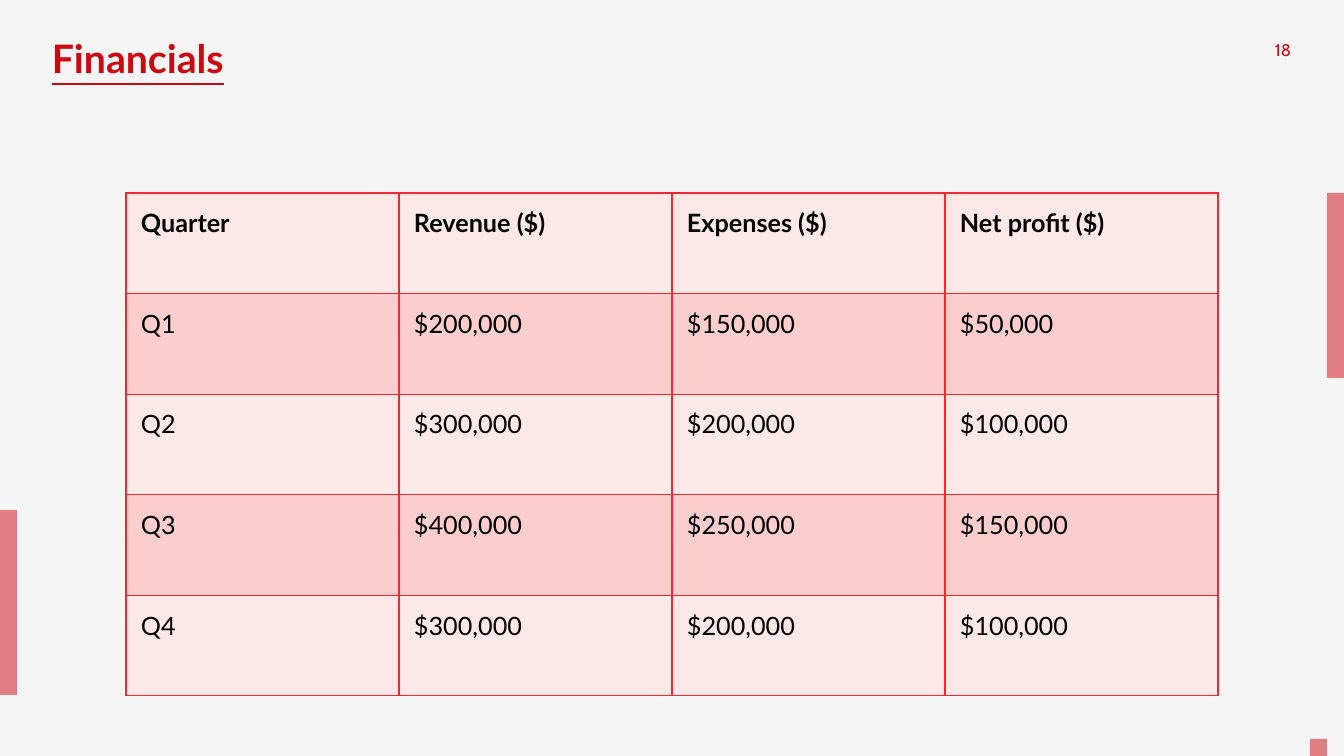
"""Build the quarterly financials slide."""
from lxml import etree
from pptx import Presentation
from pptx import util as u
from pptx.dml.color import RGBColor
from pptx.enum import shapes, text
from pptx.oxml.ns import qn

PX = 12192000 / 1344
COLORS = {"page": "F5F5F5", "accent": "CC0912", "border": "F52730",
          "light": "FDE8E8", "dark": "FBCDCD", "ink": "000000"}
TITLE = {"name": "Lato", "size": u.Pt(28), "bold": True, "underline": True}
NUMBER = {"name": "Cabin", "size": u.Pt(12)}
CELL = {"name": "Lato", "size": u.Pt(18)}
ROWS = [
    ("Quarter", "Revenue ($)", "Expenses ($)", "Net profit ($)"),
    ("Q1", "$200,000", "$150,000", "$50,000"),
    ("Q2", "$300,000", "$200,000", "$100,000"),
    ("Q3", "$400,000", "$250,000", "$150,000"),
    ("Q4", "$300,000", "$200,000", "$100,000"),
]


def px(*lengths):
    return [u.Emu(round(length * PX)) for length in lengths]


def write(para, words, style, color):
    span = para.add_run()
    span.text = words
    for key, value in style.items():
        setattr(span.font, key, value)
    span.font.color.rgb = RGBColor.from_string(COLORS[color])


deck = Presentation()
deck.slide_width, deck.slide_height = px(1344, 756)
page = deck.slides.add_slide(deck.slide_layouts[6])
page.background.fill.solid()
page.background.fill.fore_color.rgb = RGBColor.from_string(COLORS["page"])

for place in [(1327, 193, 17, 185), (0, 510, 17, 185), (1310, 739, 17, 17)]:
    bar = page.shapes.add_shape(shapes.MSO_SHAPE.RECTANGLE, *px(*place))
    bar.shadow.inherit = False
    bar.line.fill.background()
    bar.fill.solid()
    bar.fill.fore_color.rgb = RGBColor.from_string(COLORS["accent"])
    tint = bar.fill._xPr.find(".//" + qn("a:srgbClr"))
    etree.SubElement(tint, qn("a:alpha"), val="50000")

labels = [
    ("Financials", (42, 35, 552, 123), TITLE, {"line_spacing": 0.9}),
    ("18", (1250, 35, 51, 40), NUMBER, {"alignment": text.PP_ALIGN.RIGHT}),
]
for words, place, style, layout in labels:
    frame = page.shapes.add_textbox(*px(*place)).text_frame
    frame.word_wrap = True
    frame.margin_bottom = 0
    for key, value in layout.items():
        setattr(frame.paragraphs[0], key, value)
    write(frame.paragraphs[0], words, style, "accent")

table = page.shapes.add_table(len(ROWS), len(ROWS[0]), *px(126, 193, 1092, 503)).table
table.first_row = table.horz_banding = False
for column in table.columns:
    column.width = px(273)[0]

for r, values in enumerate(ROWS):
    table.rows[r].height = px(503 / len(ROWS))[0]
    for c, words in enumerate(values):
        cell = table.cell(r, c)
        for side in ("left", "right", "top", "bottom"):
            setattr(cell, f"margin_{side}", px(15)[0])
        for edge in ("a:lnL", "a:lnR", "a:lnT", "a:lnB"):
            border = etree.SubElement(cell._tc.tcPr, qn(edge), w=str(u.Pt(1)))
            paint = etree.SubElement(border, qn("a:solidFill"))
            etree.SubElement(paint, qn("a:srgbClr"), val=COLORS["border"])
        cell.fill.solid()
        cell.fill.fore_color.rgb = RGBColor.from_string(COLORS["dark" if r % 2 else "light"])
        write(cell.text_frame.paragraphs[0], words, {**CELL, "bold": r == 0}, "ink")

deck.save("out.pptx")
